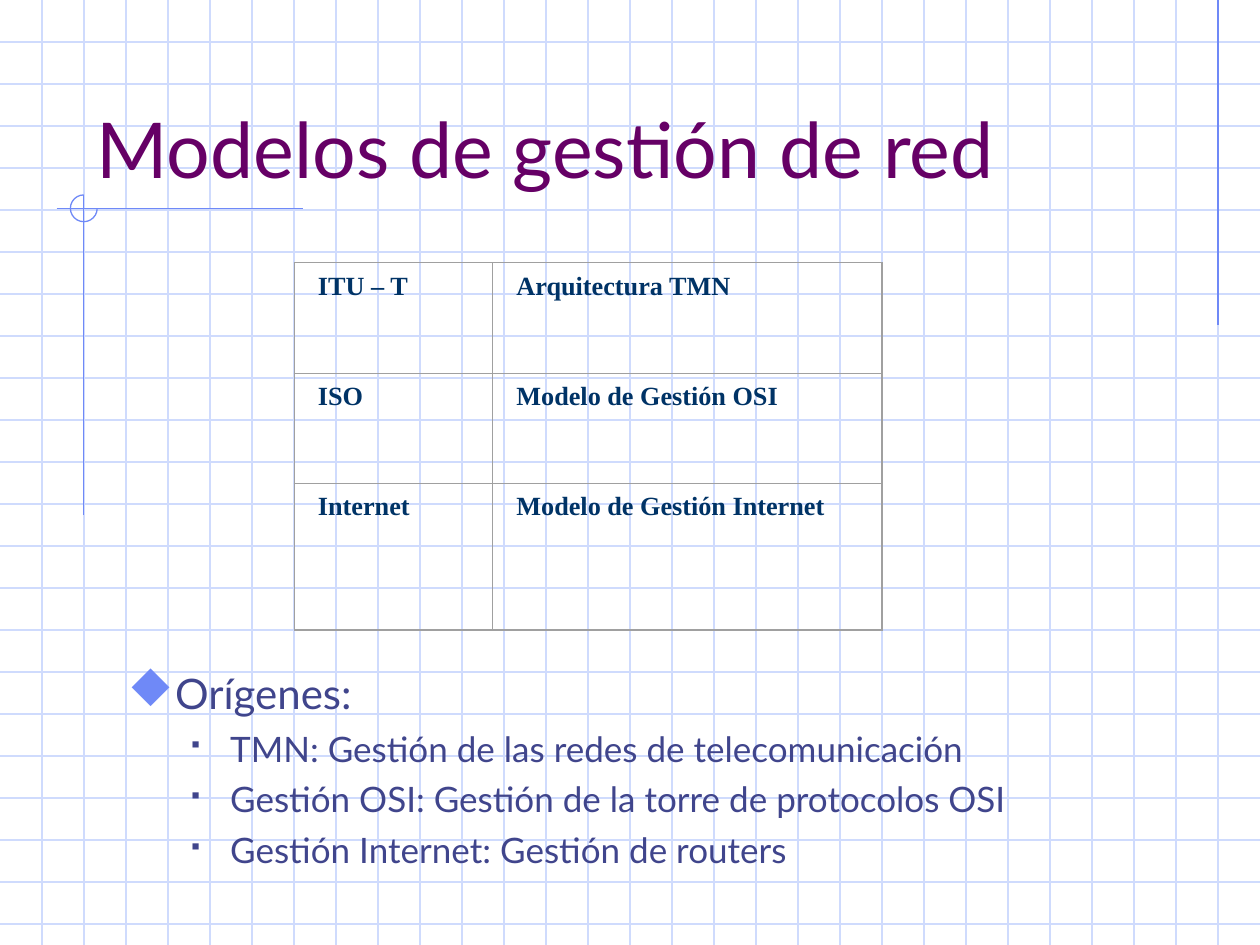
from lxml import etree
from pptx import Presentation
from pptx.dml import color
from pptx.enum import shapes, text
from pptx.oxml import ns
from pptx.util import Cm, Pt

WIDTH, HEIGHT = 25.4, 19.05
STEP = WIDTH / 30
GRID, ACCENT, BORDER = "CFDBFD", "6F89F7", "A0A0A0"
PURPLE, INDIGO, NAVY = "660066", "40458C", "003366"
DIAMOND, SQUARE = "u", "§"  # Wingdings codes


def rgb(value):
    return color.RGBColor.from_string(value)


def add_xml(parent, tag, **attributes):
    return etree.SubElement(parent, ns.qn(tag), attributes)


def write(paragraph, words, size, hue, font="Lato", bold=False, before=0):
    paragraph.alignment = text.PP_ALIGN.LEFT
    paragraph.space_before = Pt(before)
    run = paragraph.add_run()
    run.text = words
    run.font.name = font
    run.font.size = Pt(size)
    run.font.bold = bold
    run.font.color.rgb = rgb(hue)


def set_bullet(paragraph, char, hue, percent, margin, hanging):
    props = paragraph._p.get_or_add_pPr()
    props.set("marL", str(Cm(margin)))
    props.set("indent", str(-Cm(hanging)))
    add_xml(add_xml(props, "a:buClr"), "a:srgbClr", val=hue)
    add_xml(props, "a:buSzPct", val=str(percent * 1000))
    add_xml(props, "a:buFont", typeface="Wingdings", pitchFamily="2", charset="2")
    add_xml(props, "a:buChar", char=char)


def add_line(slide, x1, y1, x2, y2, hue):
    line = slide.shapes.add_connector(
        shapes.MSO_CONNECTOR.STRAIGHT, Cm(x1), Cm(y1), Cm(x2), Cm(y2))
    line.line.color.rgb = rgb(hue)
    line.line.width = Pt(0.75)
    add_xml(line._element.spPr, "a:effectLst")


def add_grid(slide, left, top, width, height):
    for row in range(1, int(height / STEP) + 1):
        y = top + row * STEP
        add_line(slide, left, y, left + width, y, GRID)
    for column in range(1, round(width / STEP)):
        x = left + column * STEP
        add_line(slide, x, top, x, top + height, GRID)


def add_ornament(slide, left, top, width, height):
    """Crossed lines with a three-quarter circle around the crossing."""
    radius = 0.27
    x, y = left + 0.55, top + radius
    add_line(slide, left, y, left + width, y, ACCENT)
    add_line(slide, x, top, x, top + height, ACCENT)
    ring = slide.shapes.add_shape(
        shapes.MSO_SHAPE.ARC, Cm(x - radius), Cm(top), Cm(2 * radius), Cm(2 * radius))
    ring.adjustments[0] = 0
    ring.adjustments[1] = 162  # 270 degrees
    ring.shadow.inherit = False
    ring.fill.background()
    ring.line.color.rgb = rgb(ACCENT)
    ring.line.width = Pt(0.75)


def place_title(slide, left, top, width, height, words):
    title = slide.shapes.title
    title.left, title.top, title.width, title.height = map(Cm, (left, top, width, height))
    frame = title.text_frame
    frame.auto_size = text.MSO_AUTO_SIZE.NONE
    frame.vertical_anchor = text.MSO_ANCHOR.BOTTOM
    write(frame.paragraphs[0], words, 44, PURPLE)
    slide.shapes._spTree.append(title._element)  # in front of the grid


def set_borders(cell, outer_sides):
    props = cell._tc.get_or_add_tcPr()
    for side in "LRTB":
        points = 0.75 if side in outer_sides else 0.25
        border = add_xml(props, f"a:ln{side}", w=str(Pt(points)))
        add_xml(add_xml(border, "a:solidFill"), "a:srgbClr", val=BORDER)


def add_models(slide, left, top, columns, heights, rows):
    table = slide.shapes.add_table(
        len(heights), len(columns), Cm(left), Cm(top),
        Cm(sum(columns)), Cm(sum(heights))).table
    table.first_row = table.horz_banding = False
    for column, width in zip(table.columns, columns):
        column.width = Cm(width)
    for r, (height, row) in enumerate(zip(heights, rows)):
        table.rows[r].height = Cm(height)
        for c, words in enumerate(row):
            cell = table.cell(r, c)
            cell.margin_left, cell.margin_right = Cm(0.48), Cm(0.48)
            cell.margin_top = Cm(0.19)
            write(cell.text_frame.paragraphs[0], words, 15, NAVY,
                  font="Times New Roman", bold=True)
            outer = "L" if c == 0 else "R"
            outer += {0: "T", len(heights) - 1: "B"}.get(r, "")
            set_borders(cell, outer)
            cell.fill.background()


def add_origins(slide, left, top, width, height, heading, items):
    frame = slide.shapes.add_textbox(Cm(left), Cm(top), Cm(width), Cm(height)).text_frame
    frame.word_wrap = True
    first = frame.paragraphs[0]
    set_bullet(first, DIAMOND, ACCENT, 110, 0.95, 0.95)
    write(first, heading, 24, INDIGO)
    for item in items:
        paragraph = frame.add_paragraph()
        paragraph.level = 1
        set_bullet(paragraph, SQUARE, INDIGO, 60, 2.06, 0.79)
        write(paragraph, item, 20, INDIGO, before=5)


def main():
    deck = Presentation()
    deck.slide_width, deck.slide_height = Cm(WIDTH), Cm(HEIGHT)
    slide = deck.slides.add_slide(deck.slide_layouts.get_by_name("Title Only"))

    add_grid(slide, 0, 0, WIDTH, HEIGHT)
    add_line(slide, WIDTH - STEP, 0, WIDTH - STEP, 6.55, ACCENT)
    add_ornament(slide, 1.14, 3.93, 4.96, 6.46)
    place_title(slide, 1.69, 0.85, 21.59, 3.18, "Modelos de gestión de red")
    add_models(slide, 5.93, 5.3, (4, 7.85), (2.22, 2.22, 2.96), [
        ("ITU – T", "Arquitectura TMN"),
        ("ISO", "Modelo de Gestión OSI"),
        ("Internet", "Modelo de Gestión Internet"),
    ])
    add_origins(slide, 2.33, 13.34, 21.59, 4.45, "Orígenes:", [
        "TMN: Gestión de las redes de telecomunicación",
        "Gestión OSI: Gestión de la torre de protocolos OSI",
        "Gestión Internet: Gestión de routers",
    ])
    deck.save("out.pptx")


if __name__ == "__main__":
    main()
